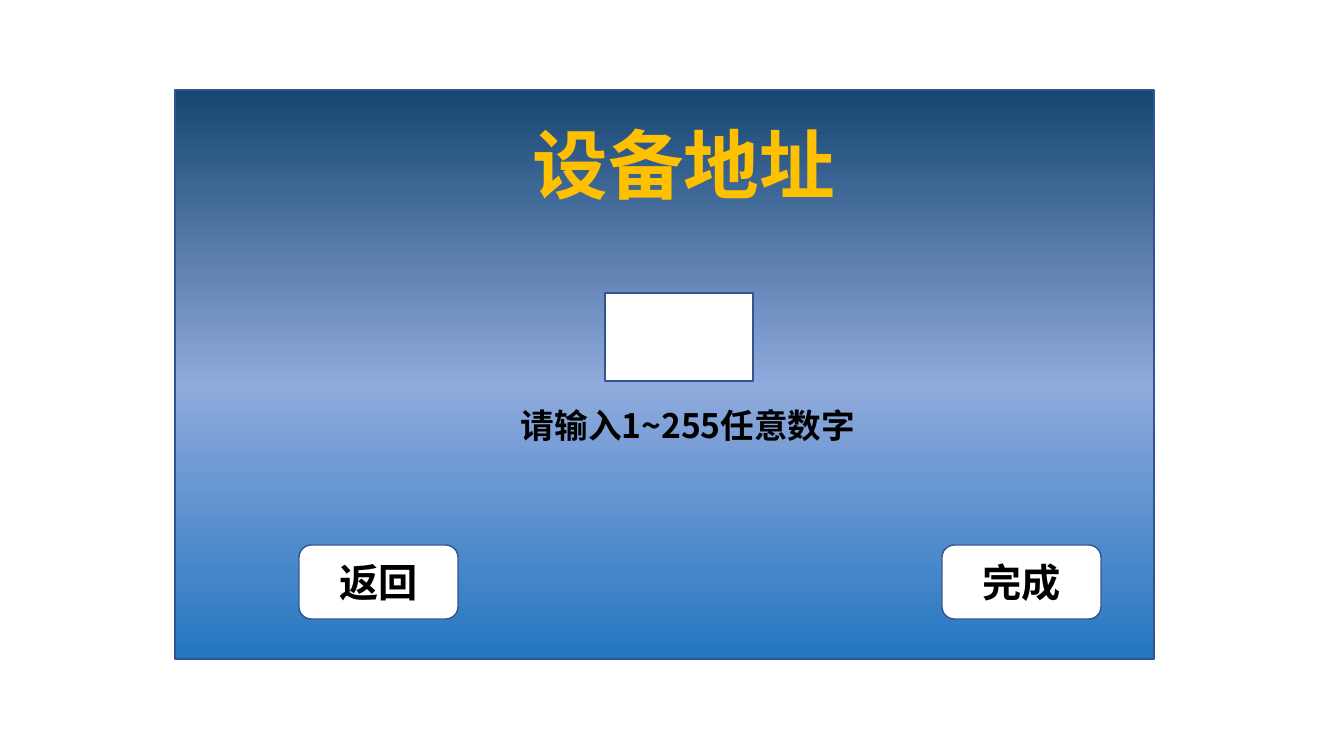
from copy import deepcopy

from lxml import etree
from pptx import Presentation
from pptx import util as u
from pptx.dml.color import RGBColor
from pptx.enum import shapes, text
from pptx.oxml.ns import qn

PX = 914400 / 100.8
FONT = "Noto Sans CJK SC"
COLORS = {
    "navy": "164672",
    "periwinkle": "8FAADC",
    "blue": "2476C0",
    "outline": "325491",
    "gold": "FFC000",
    "white": "FFFFFF",
    "black": "000000",
}


def add_panel(page, kind, bounds, fill):
    """Add an outlined shape; bounds are left, top, width, height in px."""
    panel = page.shapes.add_shape(kind, *[u.Emu(round(n * PX)) for n in bounds])
    panel.shadow.inherit = False
    panel.fill.solid()
    panel.fill.fore_color.rgb = RGBColor.from_string(COLORS[fill])
    panel.line.color.rgb = RGBColor.from_string(COLORS["outline"])
    panel.line.width = u.Pt(1)
    return panel


def add_words(box, words, size, color, align):
    para = box.text_frame.paragraphs[0]
    para.alignment = align
    para.line_spacing = 1.0
    span = para.add_run()
    span.text = words
    span.font.size = u.Pt(size)
    span.font.bold = True
    span.font.name = FONT
    span.font.color.rgb = RGBColor.from_string(COLORS[color])
    etree.SubElement(span.font._element, qn("a:ea"), typeface=FONT)


deck = Presentation()
deck.slide_width = u.Emu(round(1344 * PX))
deck.slide_height = u.Emu(round(756 * PX))
page = deck.slides.add_slide(deck.slide_layouts.get_by_name("Title Only"))

# Screen with a three-colour vertical gradient
screen = add_panel(page, shapes.MSO_SHAPE.RECTANGLE, (175, 90, 979, 569), "navy")
screen.fill.gradient()
screen.fill.gradient_angle = 270
first_stop = screen.fill.gradient_stops[0]._gs
first_stop.addnext(deepcopy(first_stop))
stops = ((0, "navy"), (0.52, "periwinkle"), (1, "blue"))
for stop, (position, color) in zip(screen.fill.gradient_stops, stops):
    stop.position = position
    stop.color.rgb = RGBColor.from_string(COLORS[color])

# Title, raised in front of the screen
title = page.shapes.title
title.left, title.top, title.width, title.height = [
    u.Emu(round(n * PX)) for n in (521, 113, 326, 102)
]
screen._element.addnext(title._element)
title.text_frame.word_wrap = False
title.text_frame.auto_size = text.MSO_AUTO_SIZE.SHAPE_TO_FIT_TEXT
title.text_frame.vertical_anchor = text.MSO_ANCHOR.TOP
add_words(title, "设备地址", 54, "gold", text.PP_ALIGN.CENTER)

# Address field and its hint
add_panel(page, shapes.MSO_SHAPE.RECTANGLE, (605, 293, 148, 88), "white")
hint = page.shapes.add_textbox(*[u.Emu(round(n * PX)) for n in (511, 400, 397, 50)])
hint.text_frame.word_wrap = True
hint.text_frame.auto_size = text.MSO_AUTO_SIZE.SHAPE_TO_FIT_TEXT
add_words(hint, "请输入1~255任意数字", 24, "black", text.PP_ALIGN.LEFT)

# Buttons
for left, label in ((299, "返回"), (942, "完成")):
    button = add_panel(
        page, shapes.MSO_SHAPE.ROUNDED_RECTANGLE, (left, 545, 159, 74), "white"
    )
    button.text_frame.vertical_anchor = text.MSO_ANCHOR.MIDDLE
    add_words(button, label, 28, "black", text.PP_ALIGN.CENTER)

deck.save("out.pptx")
